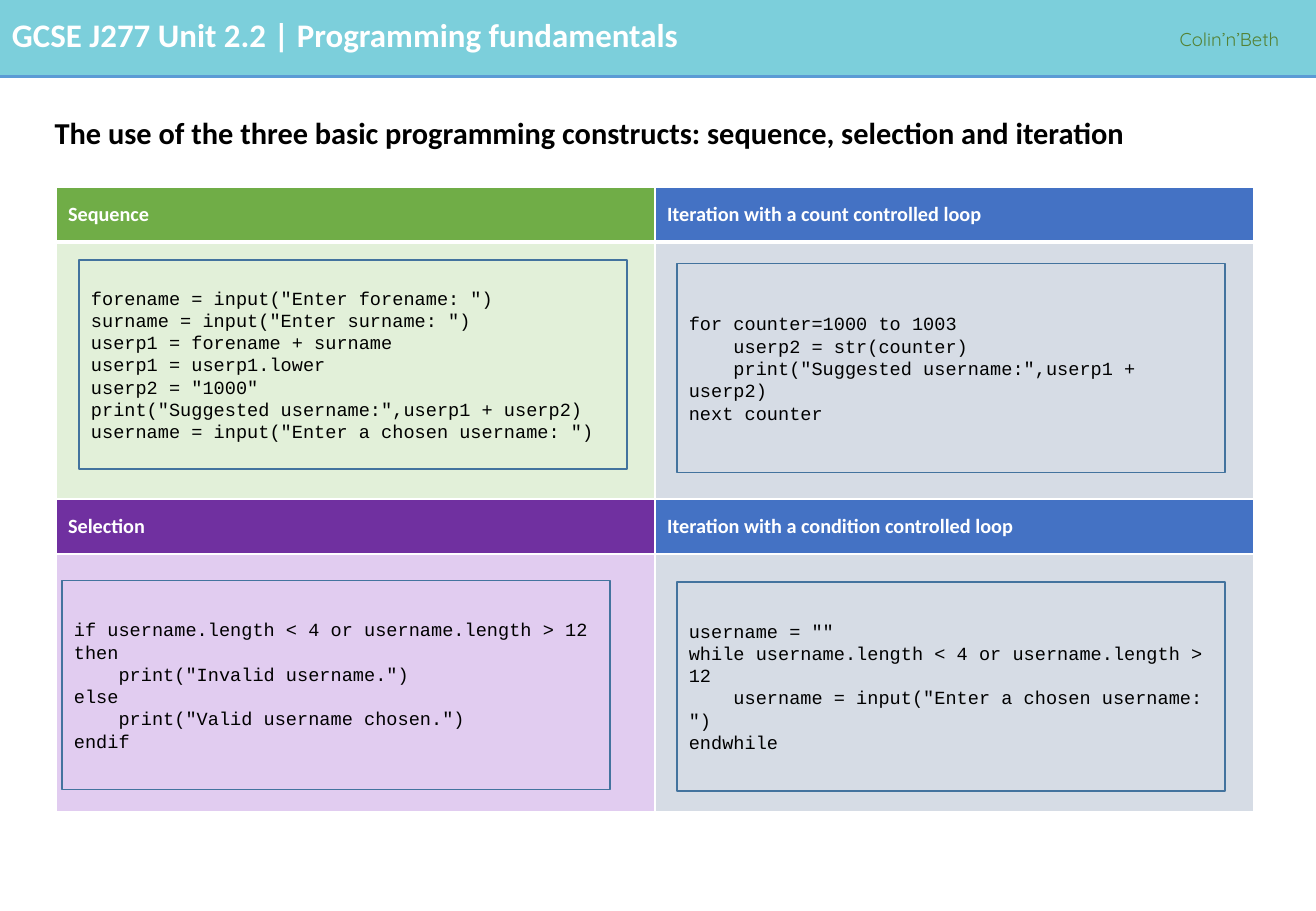
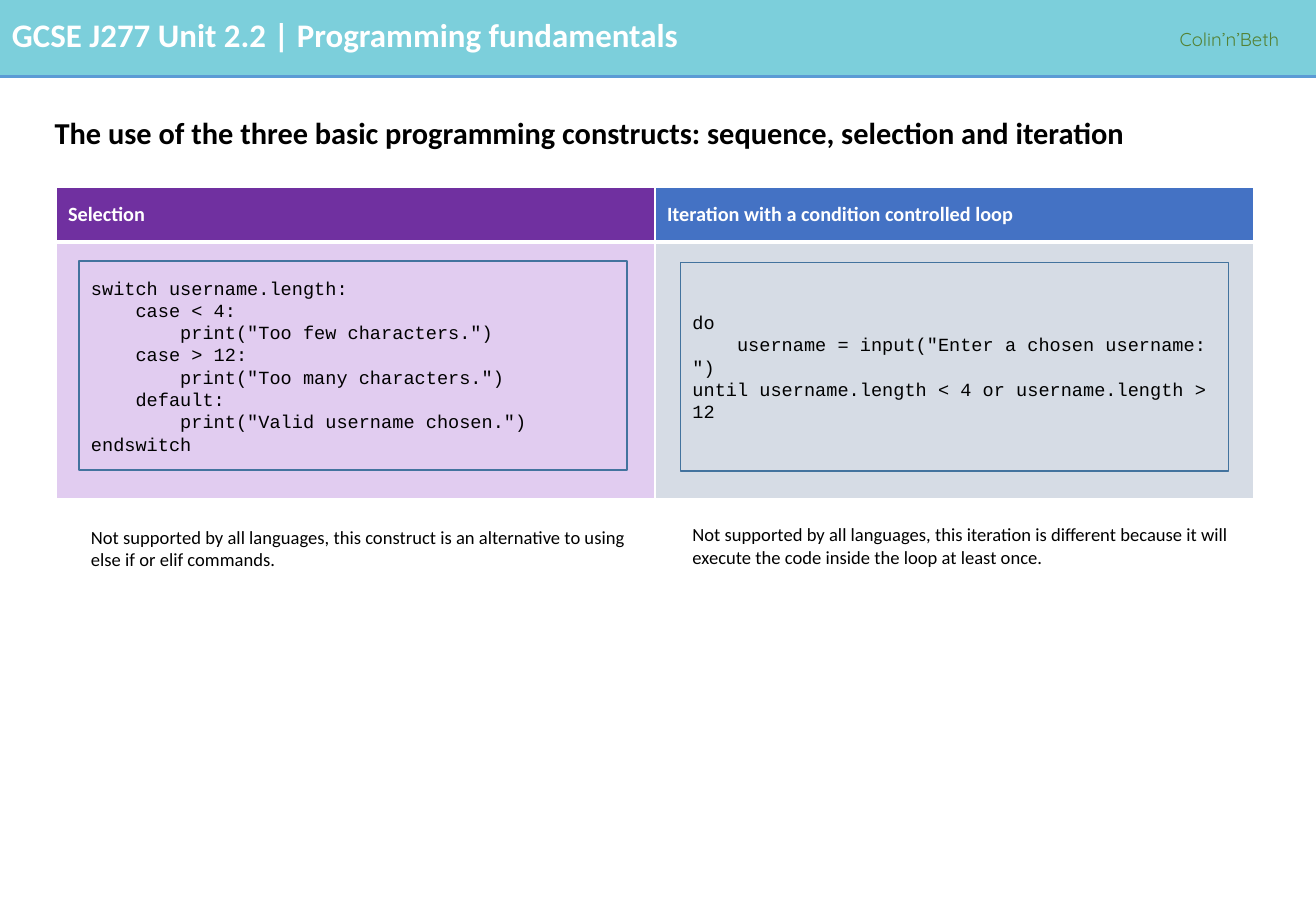
import pptx
import pptx.util
import pptx.dml.color
import pptx.enum.shapes
import pptx.enum.text
import pptx.oxml
import pptx.oxml.ns

COLOURS = {
    "band": "7CCFDB", "rule": "5B9BD5", "brand": "548235", "outline": "43739E",
    "white": "FFFFFF", "black": "000000",
    "green": "70AD47", "pale green": "E2F0D9",
    "blue": "4472C4", "pale blue": "D6DCE5",
    "purple": "7030A0", "pale purple": "E1CCF0",
}
UNIT = "GCSE J277 Unit 2.2 | Programming fundamentals"
BRAND = "Colin’n’Beth"
TITLE = "The use of the three basic programming constructs: sequence, selection and iteration"

# Each panel: heading, colour, left and top of its code box, code lines.
# Panels fill the two-column table row by row.
SLIDES = [
    {"panels": [
        ("Sequence", "green", (65, 214), [
            'forename = input("Enter forename: ")',
            'surname = input("Enter surname: ")',
            "userp1 = forename + surname",
            "userp1 = userp1.lower",
            'userp2 = "1000"',
            'print("Suggested username:",userp1 + userp2)',
            'username = input("Enter a chosen username: ")']),
        ("Iteration with a count controlled loop", "blue", (557, 217), [
            "for counter=1000 to 1003",
            "    userp2 = str(counter)",
            '    print("Suggested username:",userp1 + userp2)',
            "next counter"]),
        ("Selection", "purple", (51, 478), [
            "if username.length < 4 or username.length > 12 then",
            '    print("Invalid username.")',
            "else",
            '    print("Valid username chosen.")',
            "endif"]),
        ("Iteration with a condition controlled loop", "blue", (557, 479), [
            'username = ""',
            "while username.length < 4 or username.length > 12",
            '    username = input("Enter a chosen username: ")',
            "endwhile"]),
    ], "notes": []},
    {"panels": [
        ("Selection", "purple", (65, 215), [
            "switch username.length:",
            "    case < 4:",
            '        print("Too few characters.")',
            "    case > 12:",
            '        print("Too many characters.")',
            "    default:",
            '        print("Valid username chosen.")',
            "endswitch"]),
        ("Iteration with a condition controlled loop", "blue", (560, 216), [
            "do",
            '    username = input("Enter a chosen username: ")',
            "until username.length < 4 or username.length > 12"]),
    ], "notes": [
        ((65, 428), "Not supported by all languages, this construct is an alternative "
                    "to using else if or elif commands."),
        ((560, 426), "Not supported by all languages, this iteration is different because "
                     "it will execute the code inside the loop at least once."),
    ]},
]

PX = 9144  # 100 px to the inch
WIDTH, HEIGHT, BAND_HEIGHT = 1083, 750, 63
TABLE_LEFT, TABLE_TOP, COLUMN_WIDTH = 46, 154, 493
HEADING_HEIGHT, CODE_HEIGHT = 45, 212
CODE_BOX = (451, 172)
NOTE_BOX = (472, 47)

FORMATS = {
    "unit": {"name": "Calibri", "size": 19.5, "bold": True, "colour": "white"},
    "brand": {"name": "Quicksand", "size": 11, "colour": "brand"},
    "title": {"name": "Calibri", "size": 18, "bold": True, "colour": "black"},
    "heading": {"name": "Calibri", "size": 12, "bold": True, "colour": "white"},
    "code": {"name": "Courier New", "size": 11, "colour": "black"},
    "note": {"name": "Calibri", "size": 11, "colour": "black"},
}
MIDDLE = pptx.enum.text.MSO_ANCHOR.MIDDLE


def rgb(name):
    return pptx.dml.color.RGBColor.from_string(COLOURS[name])


def emu(*lengths):
    return [length * PX for length in lengths]


def write(tf, lines, style):
    """Fill a text frame with one left-aligned paragraph per line."""
    for i, line in enumerate(lines):
        p = tf.paragraphs[0] if i == 0 else tf.add_paragraph()
        p.alignment = pptx.enum.text.PP_ALIGN.LEFT
        r = p.add_run()
        r.text = line
        for key, value in FORMATS[style].items():
            if key == "colour":
                r.font.color.rgb = rgb(value)
            else:
                setattr(r.font, key, pptx.util.Pt(value) if key == "size" else value)


def add_text(s, box, text, style, wrap=True):
    tf = s.shapes.add_textbox(*emu(*box)).text_frame
    tf.word_wrap = wrap
    write(tf, [text], style)
    return tf.paragraphs[0]


def add_rectangle(s, box):
    sp = s.shapes.add_shape(pptx.enum.shapes.MSO_SHAPE.RECTANGLE, *emu(*box))
    sp.shadow.inherit = False
    return sp


def add_frame(s):
    """Draw the band, its rule, the unit name, the brand and the title."""
    band = add_rectangle(s, (0, 0, WIDTH, BAND_HEIGHT))
    band.fill.solid()
    band.fill.fore_color.rgb = rgb("band")
    band.line.fill.background()

    rule = s.shapes.add_connector(pptx.enum.shapes.MSO_CONNECTOR.STRAIGHT,
                                  *emu(0, BAND_HEIGHT, WIDTH, BAND_HEIGHT))
    rule.line.color.rgb = rgb("rule")
    rule.line.width = pptx.util.Pt(2.25)
    rule._element.spPr.append(pptx.oxml.parse_xml(
        f"<a:effectLst {pptx.oxml.ns.nsdecls('a')}/>"))

    add_text(s, (0, 7, 948, 43), UNIT, "unit")
    p = add_text(s, (961, 17, 122, 29), BRAND, "brand", wrap=False)
    p.line_spacing, p.space_after = 1.07, pptx.util.Pt(8)

    title = s.shapes.title
    title.left, title.top, title.width, title.height = emu(35, 83, 1010, 56)
    tf = title.text_frame
    tf.auto_size = pptx.enum.text.MSO_AUTO_SIZE.NONE
    tf.vertical_anchor = MIDDLE
    write(tf, [TITLE], "title")
    tf.paragraphs[0].line_spacing = 0.9


def format_cell(cell, colour, widths):
    """Set the fill and the white borders; widths maps sides L, R, T, B to points."""
    cell.fill.solid()
    cell.fill.fore_color.rgb = rgb(colour)
    tc_pr = cell._tc.get_or_add_tcPr()
    for i, side in enumerate("LRTB"):
        tc_pr.insert(i, pptx.oxml.parse_xml(
            f'<a:ln{side} {pptx.oxml.ns.nsdecls("a")} w="{pptx.util.Pt(widths.get(side, 1))}">'
            f'<a:solidFill><a:srgbClr val="{COLOURS["white"]}"/></a:solidFill></a:ln{side}>'))


def add_panels(s, panels):
    pairs = len(panels) // 2
    table = s.shapes.add_table(2 * pairs, 2, *emu(
        TABLE_LEFT, TABLE_TOP, 2 * COLUMN_WIDTH,
        pairs * (HEADING_HEIGHT + CODE_HEIGHT))).table
    table.first_row = table.horz_banding = False
    for column in table.columns:
        column.width = COLUMN_WIDTH * PX
    for i, row in enumerate(table.rows):
        row.height = (CODE_HEIGHT if i % 2 else HEADING_HEIGHT) * PX

    for i, (heading, colour, corner, code) in enumerate(panels):
        pair, column = divmod(i, 2)
        width = 1 if pair else 3  # only the first heading row has a thick lower edge
        cell = table.cell(2 * pair, column)
        format_cell(cell, colour, {"B": width})
        cell.vertical_anchor = MIDDLE
        write(cell.text_frame, [heading], "heading")
        format_cell(table.cell(2 * pair + 1, column), f"pale {colour}", {"T": width})

        box = add_rectangle(s, corner + CODE_BOX)
        box.fill.background()
        box.line.color.rgb = rgb("outline")
        box.line.width = pptx.util.Pt(1)
        box.text_frame.word_wrap = True
        box.text_frame.vertical_anchor = MIDDLE
        write(box.text_frame, code, "code")


def main():
    prs = pptx.Presentation()
    prs.slide_width, prs.slide_height = emu(WIDTH, HEIGHT)
    for content in SLIDES:
        s = prs.slides.add_slide(prs.slide_layouts.get_by_name("Title Only"))
        add_frame(s)
        add_panels(s, content["panels"])
        for corner, text in content["notes"]:
            add_text(s, corner + NOTE_BOX, text, "note")
    prs.save("out.pptx")


if __name__ == "__main__":
    main()
